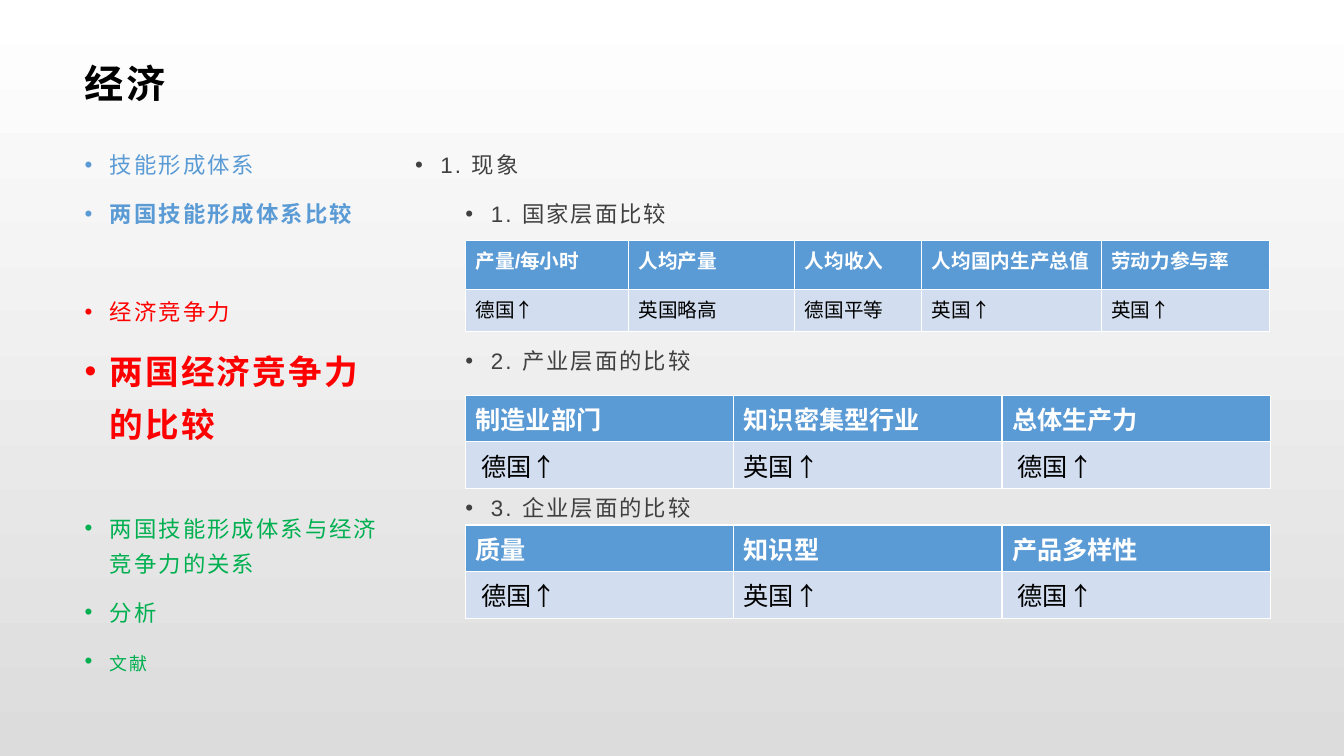
from collections import namedtuple

from lxml import etree
from pptx import Presentation
from pptx.dml.color import RGBColor
from pptx.enum.text import MSO_ANCHOR, MSO_AUTO_SIZE, PP_ALIGN
from pptx.oxml.ns import qn
from pptx.util import Cm, Pt

LEFT, MIDDLE, TOP = PP_ALIGN.LEFT, MSO_ANCHOR.MIDDLE, MSO_ANCHOR.TOP
NO_AUTOFIT = MSO_AUTO_SIZE.NONE
TWO_CONTENT_LAYOUT = 3
FONT = "Arial"
BLUE, PALE_BLUE, RED, GREEN = "5B9BD5", "D2DEEF", "FE0000", "00B050"
BLACK, WHITE, DARK_GREY, LIGHT_GREY = "000000", "FFFFFF", "404040", "DCDCDC"
BULLET_HANG = 0.64
SECTION_GAP = 35  # points: one bullet line with its spacing

Item = namedtuple("Item", "text color size bold level gap small_caps",
                  defaults=(DARK_GREY, 16, False, 0, 0, False))

OUTLINE = [
    Item("技能形成体系", BLUE),
    Item("两国技能形成体系比较", BLUE, bold=True),
    Item("经济竞争力", RED, gap=SECTION_GAP),
    Item("两国经济竞争力的比较", RED, size=24, bold=True),
    Item("两国技能形成体系与经济竞争力的关系", GREEN, gap=SECTION_GAP),
    Item("分析", GREEN),
    Item("文献", GREEN, small_caps=True),
]
COMPARISONS = [
    Item("1. 现象"),
    Item("1. 国家层面比较", level=1),
    Item("2. 产业层面的比较", level=1, gap=2 * SECTION_GAP),
    Item("3. 企业层面的比较", level=1, gap=2 * SECTION_GAP),
]
COUNTRY_ROWS = [
    ["产量/每小时", "人均产量", "人均收入", "人均国内生产总值", "劳动力参与率"],
    ["德国↑", "英国略高", "德国平等", "英国↑", "英国↑"],
]
RESULT_ROW = [" 德国↑", "英国↑", " 德国↑"]
INDUSTRY_ROWS = [["制造业部门", "知识密集型行业", "总体生产力"], RESULT_ROW]
COMPANY_ROWS = [["质量", "知识型", "产品多样性"], RESULT_ROW]


def rgb(hex_color):
    """Turn a hex string into a colour."""
    return RGBColor.from_string(hex_color)


def format_runs(paragraph, size, color, bold, spacing=0, small_caps=False):
    """Set font, letter spacing (points) and capitals of all runs."""
    for run in paragraph.runs:
        run.font.name = FONT
        run.font.size = Pt(size)
        run.font.bold = bold
        run.font.color.rgb = rgb(color)
        properties = run.font._element
        if spacing:
            properties.set("spc", str(int(spacing * 100)))
        if small_caps:
            properties.set("cap", "small")


def place(shape, box, anchor, insets):
    """Move a placeholder into a box and set up its text frame."""
    shape.left, shape.top, shape.width, shape.height = map(Cm, box)
    frame = shape.text_frame
    frame.word_wrap = True
    frame.auto_size = NO_AUTOFIT
    frame.vertical_anchor = anchor
    (frame.margin_left, frame.margin_top,
     frame.margin_right, frame.margin_bottom) = map(Cm, insets)
    return frame


def set_background(slide):
    """Fill the slide with a vertical gradient."""
    fill = slide.background.fill
    fill.gradient()
    fill.gradient_angle = 270
    for stop, color in zip(fill.gradient_stops, (WHITE, LIGHT_GREY)):
        stop.color.rgb = rgb(color)


def fill_title(shape, box, text):
    """Write the slide title."""
    frame = place(shape, box, MIDDLE, (0.28, 0.1, 0.2, 0.1))
    frame.text = text
    paragraph = frame.paragraphs[0]
    paragraph.alignment = LEFT
    format_runs(paragraph, 28, BLACK, True, spacing=2)


def fill_list(shape, box, items):
    """Write a bulleted list."""
    frame = place(shape, box, TOP, (0.28, 0, 0.23, 0))
    frame.text = "\n".join(item.text for item in items)
    for paragraph, item in zip(frame.paragraphs, items):
        paragraph.level = item.level
        paragraph.alignment = LEFT
        paragraph.line_spacing = 1.3
        paragraph.space_before = Pt(item.gap)
        paragraph.space_after = Pt(10)
        properties = paragraph._p.get_or_add_pPr()
        properties.set("marL", str(Cm(BULLET_HANG + 1.27 * item.level)))
        properties.set("indent", str(-Cm(BULLET_HANG)))
        etree.SubElement(properties, qn("a:buFont")).set("typeface", FONT)
        etree.SubElement(properties, qn("a:buChar")).set("char", "•")
        format_runs(paragraph, item.size, item.color, item.bold,
                    spacing=1.5, small_caps=item.small_caps)


def add_comparison(slide, left, top, rows, widths, heights, size):
    """Add a table with a blue header row above pale result rows."""
    table = slide.shapes.add_table(
        len(rows), len(widths), Cm(left), Cm(top),
        Cm(sum(widths)), Cm(sum(heights))).table
    for column, width in zip(table.columns, widths):
        column.width = Cm(width)
    for row_index, (row, height) in enumerate(zip(rows, heights)):
        table.rows[row_index].height = Cm(height)
        header = row_index == 0
        for column_index, text in enumerate(row):
            cell = table.cell(row_index, column_index)
            cell.fill.solid()
            cell.fill.fore_color.rgb = rgb(BLUE if header else PALE_BLUE)
            cell.text_frame.text = text
            format_runs(cell.text_frame.paragraphs[0], size,
                        WHITE if header else BLACK, header)


def build_economy_slide(presentation):
    """Build the slide that compares the two economies."""
    slide = presentation.slides.add_slide(
        presentation.slide_layouts[TWO_CONTENT_LAYOUT])
    set_background(slide)
    title, outline, comparisons = slide.placeholders
    fill_title(title, (1.85, 1.19, 30.15, 1.8), "经济")
    fill_list(outline, (1.85, 3.61, 8.33, 14), OUTLINE)
    fill_list(comparisons, (10.18, 3.61, 21.82, 14), COMPARISONS)

    table_left = 11.73
    add_comparison(slide, table_left, 6.07, COUNTRY_ROWS,
                   [4.11, 4.19, 3.2, 4.52, 4.24], [1.22, 1.07], 14)
    for top, rows in ((9.96, INDUSTRY_ROWS), (13.23, COMPANY_ROWS)):
        add_comparison(slide, table_left, top, rows, [6.76] * 3, [1.06] * 2, 18)


presentation = Presentation()
presentation.slide_width, presentation.slide_height = Cm(33.87), Cm(19.05)
build_economy_slide(presentation)
presentation.save("out.pptx")
